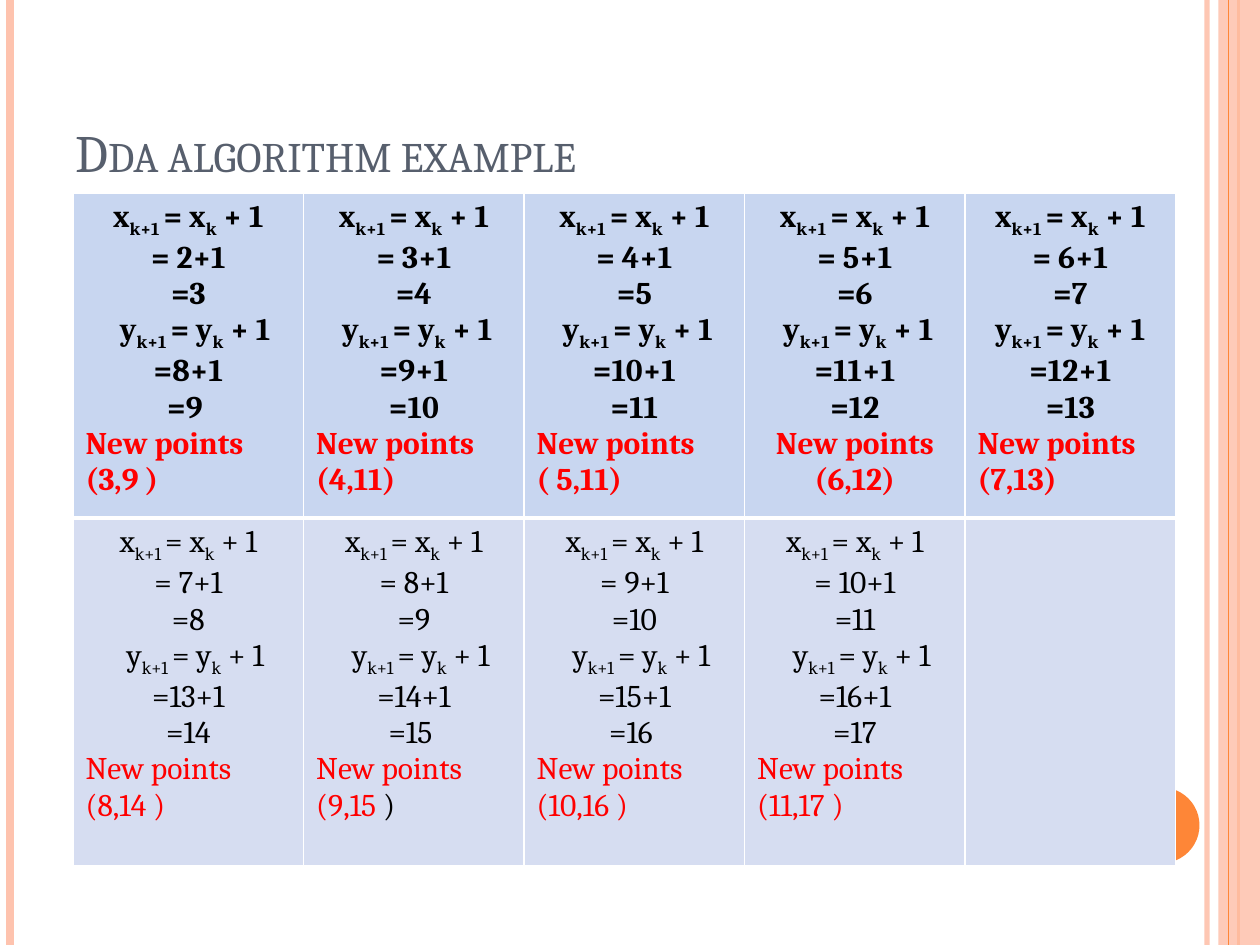
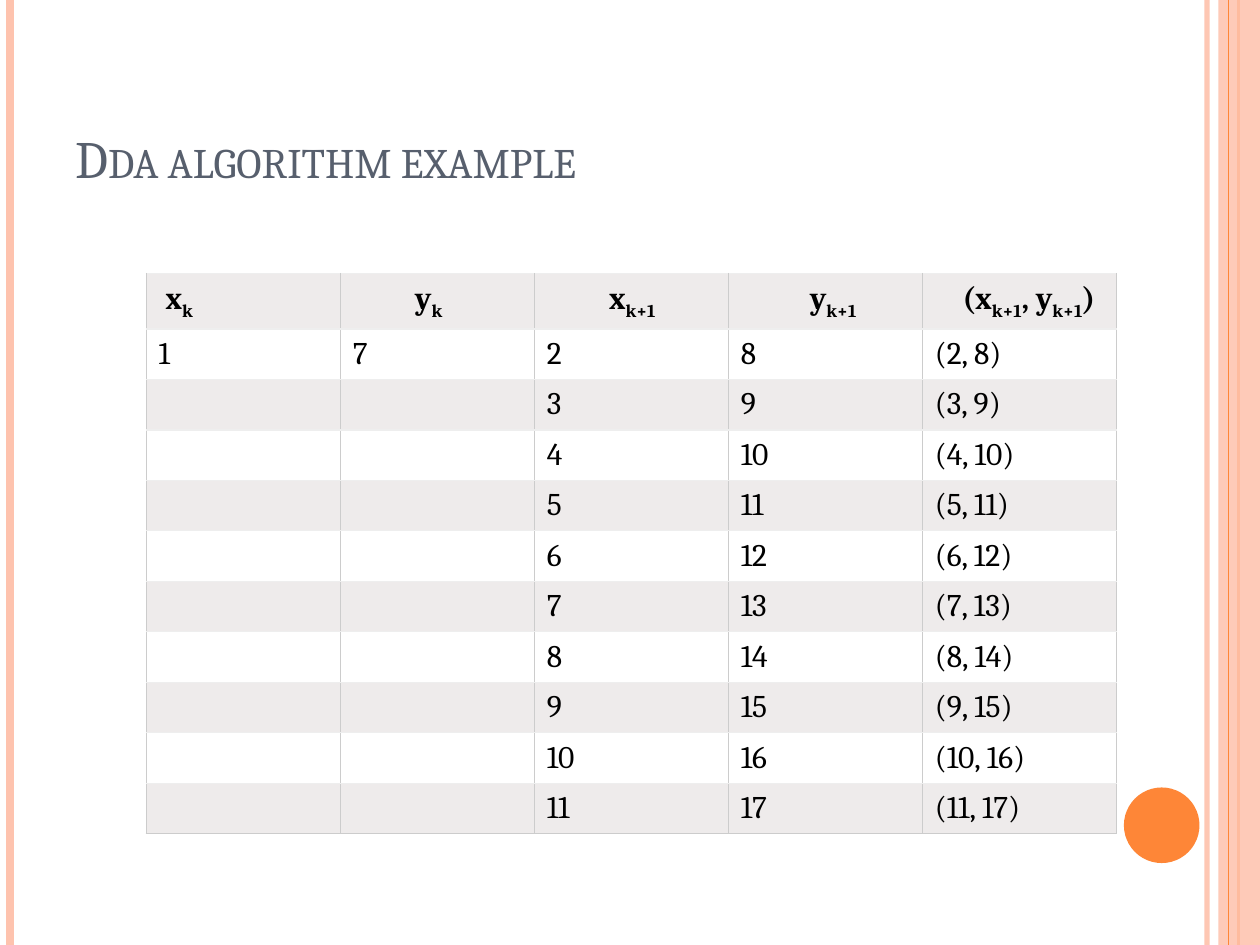
"""Build two slides that work through a DDA line-drawing example."""
from dataclasses import dataclass

from lxml.etree import SubElement
from pptx import Presentation
from pptx.dml.color import RGBColor
from pptx.enum.shapes import MSO_CONNECTOR, MSO_SHAPE
from pptx.enum.text import MSO_ANCHOR, PP_ALIGN
from pptx.oxml.ns import qn
from pptx.util import Inches, Pt

TITLE = "Dda algorithm example"

# x, y, next y as typed, new point, leading spaces before y, point alignment
STEPS = [
    [
        (2, 8, "=9 ", "(3,9 )", 2, PP_ALIGN.LEFT),
        (3, 9, "=10", "(4,11)", 1, PP_ALIGN.LEFT),
        (4, 10, "=11", "( 5,11)", 1, PP_ALIGN.LEFT),
        (5, 11, "=12", "(6,12)", 1, PP_ALIGN.CENTER),
        (6, 12, "=13", "(7,13)", 0, PP_ALIGN.LEFT),
    ],
    [
        (7, 13, "=14", "(8,14 )", 2, PP_ALIGN.LEFT),
        (8, 14, "=15 ", "(9,15 |)", 2, PP_ALIGN.LEFT),
        (9, 15, "=16 ", "(10,16 )", 2, PP_ALIGN.LEFT),
        (10, 16, "=17", "(11,17 )", 2, PP_ALIGN.LEFT),
    ],
]
STEP_COLUMNS = [1.83, 1.75, 1.75, 1.75, 1.67]
STEP_ROWS = [2.56, 2.76]

# heading with [subscripts], leading spaces
HEADINGS = [("x[k]", 1), ("y[k]", 9), ("x[k+1]", 9), ("y[k+1]", 10), ("(x[k+1], y[k+1])", 4)]
POINTS = [(x, x + 6) for x in range(2, 12)]
START = ("1", "7")
POINT_COLUMNS = [1.54] * len(HEADINGS)
POINT_ROWS = [0.43] + [0.39] * len(POINTS)


@dataclass(frozen=True)
class Theme:
    """Colours, type sizes and lengths that the slides share."""
    font: str = "Cambria"
    title_size: int = 30
    body_size: int = 18
    space_width: float = 0.055
    width: float = 10
    height: float = 7.5
    title: str = "575F6D"
    text: str = "000000"
    result: str = "FF0000"
    peach: str = "FEC3AE"
    orange: str = "FE8637"
    white: str = "FFFFFF"
    step_fills: tuple = ("C8D6F0", "D6DDF1")
    point_fills: tuple = ("EEEBEB", "FFFFFF")
    column_rule: str = "CCCCCC"
    row_rule: str = "EEEEEE"


THEME = Theme()


def set_alpha(shape, percent):
    for color in shape._element.spPr.iter(qn("a:srgbClr")):
        SubElement(color, qn("a:alpha"), val=str(percent * 1000))


def add_rail(slide, x, color, weight, alpha=100):
    rail = slide.shapes.add_connector(
        MSO_CONNECTOR.STRAIGHT, Inches(x), 0, Inches(x), Inches(THEME.height))
    rail.line.color.rgb = RGBColor.from_string(color)
    rail.line.width = Pt(weight)
    set_alpha(rail, alpha)
    SubElement(rail._element.spPr, qn("a:effectLst"))


def add_solid(slide, kind, box, color, alpha=100):
    shape = slide.shapes.add_shape(kind, *map(Inches, box))
    shape.shadow.inherit = False
    shape.fill.solid()
    shape.fill.fore_color.rgb = RGBColor.from_string(color)
    shape.line.fill.background()
    set_alpha(shape, alpha)


def style_paragraph(paragraph, color, size=THEME.body_size, bold=False):
    font = paragraph.font
    font.name, font.size, font.bold = THEME.font, Pt(size), bold
    font.color.rgb = RGBColor.from_string(color)


def indent_paragraph(paragraph, spaces):
    properties = paragraph._p.get_or_add_pPr()
    properties.set("marL", str(Inches(spaces * THEME.space_width)))
    properties.set("indent", "0")


def add_marked_text(paragraph, text):
    for index, part in enumerate(text.replace("]", "[").split("[")):
        if part:
            run = paragraph.add_run()
            run.text = part
            if index % 2:
                run._r.get_or_add_rPr().set("baseline", "-25000")


def start_slide(presentation, title_top):
    slide = presentation.slides.add_slide(presentation.slide_layouts[6])
    add_rail(slide, 9.58, THEME.peach, 3, 93)
    add_rail(slide, 0.08, THEME.peach, 4.5)
    add_rail(slide, 9.83, THEME.orange, 1.5)
    add_solid(slide, MSO_SHAPE.RECTANGLE, (9.67, 0, 0.33, THEME.height), THEME.peach, 87)
    add_rail(slide, 9.75, THEME.orange, 0.75)
    add_solid(slide, MSO_SHAPE.OVAL, (8.92, 6.25, 0.6, 0.6), THEME.orange)
    frame = slide.shapes.add_textbox(
        *map(Inches, (0.5, title_top, 8.17, 1.25))).text_frame
    frame.word_wrap = True
    frame.vertical_anchor = MSO_ANCHOR.BOTTOM
    paragraph = frame.paragraphs[0]
    run = paragraph.add_run()
    run.text = TITLE
    run._r.get_or_add_rPr().set("cap", "small")
    style_paragraph(paragraph, THEME.title, THEME.title_size)
    return slide


def style_cell(cell, fill, borders):
    properties = cell._tc.get_or_add_tcPr()
    for side, (color, weight) in zip("LRTB", borders):
        line = SubElement(properties, qn(f"a:ln{side}"), w=str(Pt(weight)))
        SubElement(SubElement(line, qn("a:solidFill")), qn("a:srgbClr"), val=color)
    cell.fill.solid()
    cell.fill.fore_color.rgb = RGBColor.from_string(fill)


def add_grid(slide, left, top, widths, heights):
    table = slide.shapes.add_table(
        len(heights), len(widths),
        *map(Inches, (left, top, sum(widths), sum(heights)))).table
    table.first_row = table.horz_banding = False
    for column, width in zip(table.columns, widths):
        column.width = Inches(width)
    for row, height in zip(table.rows, heights):
        row.height = Inches(height)
    return table


def fill_step(cell, step, bold):
    x, y, next_y, point, spaces, alignment = step
    center = PP_ALIGN.CENTER
    lines = [
        ("x[k+1 ]= x[k] + 1", center, 0, THEME.text),
        (f"= {x}+1", center, 0, THEME.text),
        (f"={x + 1}", center, 0, THEME.text),
        ("y[k+1 ]= y[k] + 1", center, spaces, THEME.text),
        (f"={y}+1", center, 0, THEME.text),
        (next_y, center, 0, THEME.text),
        (f"New points {point}", alignment, 0, THEME.result),
    ]
    frame = cell.text_frame
    for index, (text, line_alignment, indent, color) in enumerate(lines):
        paragraph = frame.add_paragraph() if index else frame.paragraphs[0]
        main, _, plain_end = text.partition("|")
        add_marked_text(paragraph, main)
        if plain_end:
            run = paragraph.add_run()
            run.text = plain_end
            run.font.color.rgb = RGBColor.from_string(THEME.text)
        paragraph.alignment = line_alignment
        indent_paragraph(paragraph, indent)
        style_paragraph(paragraph, color, bold=bold)


def build_steps(presentation):
    slide = start_slide(presentation, 0.25)
    table = add_grid(slide, 0.58, 1.53, STEP_COLUMNS, STEP_ROWS)
    thin, thick = (THEME.white, 1), (THEME.white, 3)
    borders = [(thin, thin, thin, thick), (thin, thin, thick, thin)]
    for row, steps in enumerate(STEPS):
        for column in range(len(STEP_COLUMNS)):
            style_cell(table.cell(row, column), THEME.step_fills[row], borders[row])
        for column, step in enumerate(steps):
            fill_step(table.cell(row, column), step, bold=row == 0)


def build_points(presentation):
    slide = start_slide(presentation, 0.3)
    table = add_grid(slide, 1.16, 2.17, POINT_COLUMNS, POINT_ROWS)
    rows = [[(text, spaces) for text, spaces in HEADINGS]]
    for index, (x, y) in enumerate(POINTS):
        before = ("", "") if index else START
        rows.append([(text, 0) for text in (*before, str(x), str(y), f"({x}, {y})")])
    side, rule = (THEME.column_rule, 0.75), (THEME.row_rule, 0.75)
    for row, cells in enumerate(rows):
        bottom = side if row == len(rows) - 1 else rule
        for column, (text, spaces) in enumerate(cells):
            cell = table.cell(row, column)
            style_cell(cell, THEME.point_fills[row % 2], (side, side, rule, bottom))
            cell.vertical_anchor = MSO_ANCHOR.MIDDLE
            paragraph = cell.text_frame.paragraphs[0]
            add_marked_text(paragraph, text)
            indent_paragraph(paragraph, spaces)
            style_paragraph(paragraph, THEME.text, bold=row == 0)


def main():
    presentation = Presentation()
    presentation.slide_width = Inches(THEME.width)
    presentation.slide_height = Inches(THEME.height)
    build_steps(presentation)
    build_points(presentation)
    presentation.save("out.pptx")


if __name__ == "__main__":
    main()
